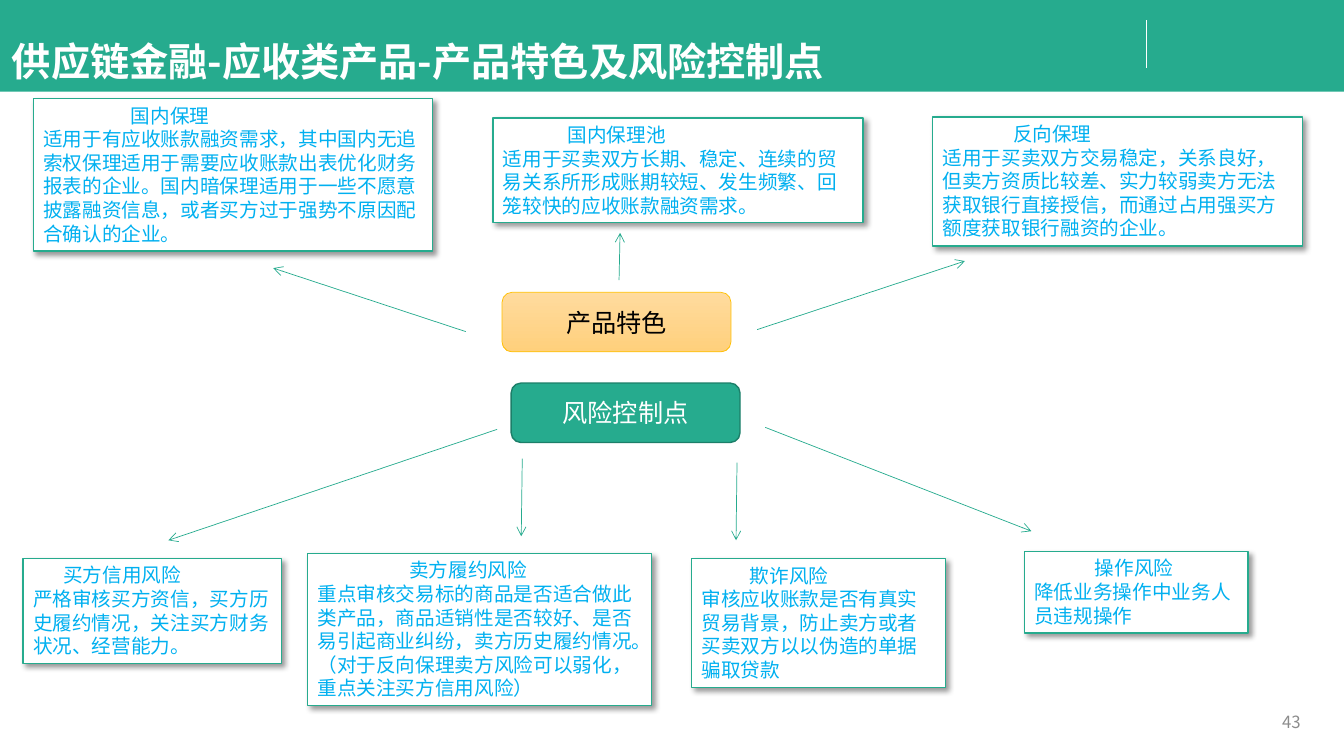
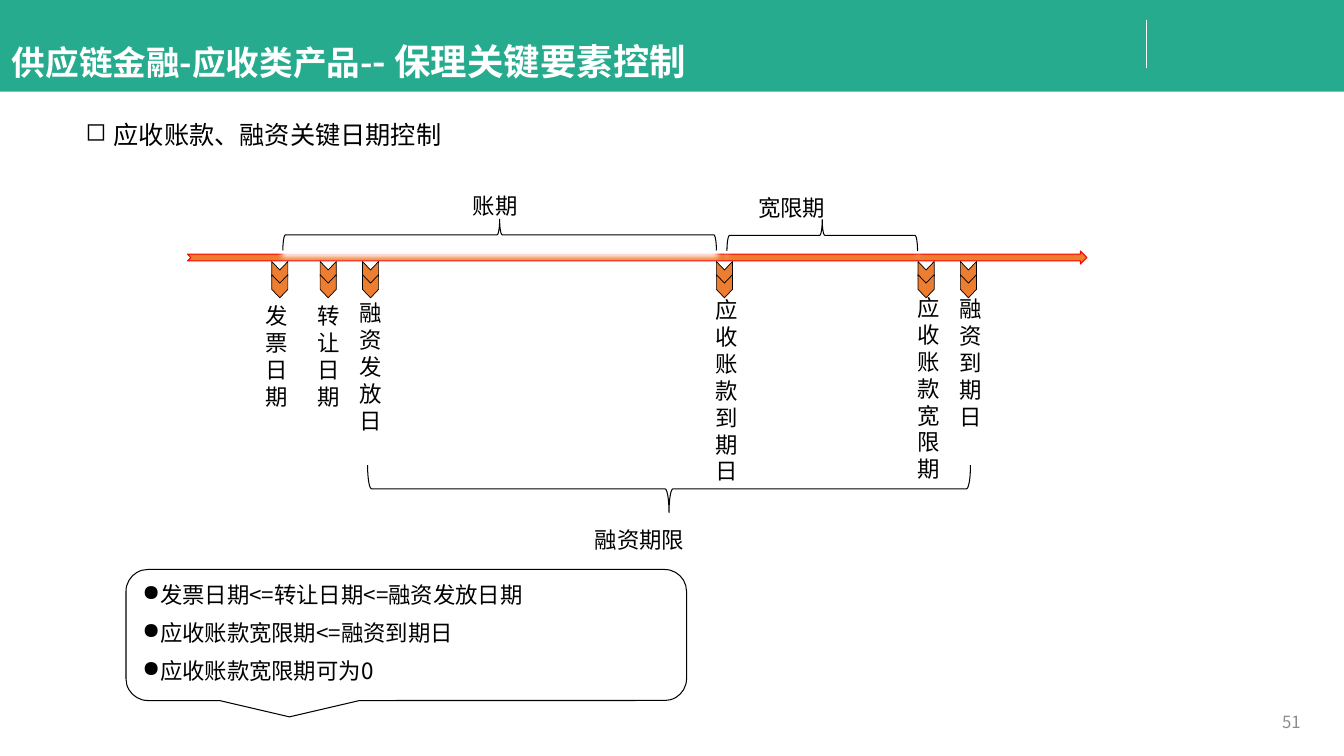
from lxml.etree import SubElement
from pptx import Presentation
from pptx.dml.color import RGBColor
from pptx.enum.shapes import MSO_CONNECTOR, MSO_SHAPE as SHAPE
from pptx.enum.text import MSO_ANCHOR as ANCHOR, PP_ALIGN as ALIGN
from pptx.oxml.ns import qn
from pptx.util import Inches, Pt

GREEN, WHITE, BLACK, BLUE, ORANGE = "26AB8E", "FFFFFF", "000000", "00B0F0", "ED7D31"
CJK, LATIN = "Noto Sans CJK SC", "Arial"
CARD_SHADOW = ("000000", 40, 4, 3, 45)
GLOW = ("FFFFFF", 100, 4, 4, 90)


def add_box(page, kind, at, fill=None, line=None, width=0.75, shadow=None, turn=0):
    frame = [Inches(value) for value in at]
    if kind is None:
        return page.shapes.add_textbox(*frame)
    box = page.shapes.add_shape(kind, *frame)
    box.rotation = turn
    box.shadow.inherit = False
    if fill:
        box.fill.solid()
        box.fill.fore_color.rgb = RGBColor.from_string(fill)
    else:
        box.fill.background()
    if line:
        box.line.color.rgb = RGBColor.from_string(line)
        box.line.width = Pt(width)
    else:
        box.line.fill.background()
    if shadow:
        colour, alpha, blur, distance, angle = shadow
        effects = box._element.spPr.find(qn("a:effectLst"))
        outer = SubElement(effects, qn("a:outerShdw"), blurRad=str(Pt(blur)), dist=str(Pt(distance)),
                           dir=str(angle * 60000), algn="tl", rotWithShape="0")
        tint = SubElement(outer, qn("a:srgbClr"), val=colour)
        SubElement(tint, qn("a:alpha"), val=str(alpha * 1000))
    return box


def write(box, paragraphs, colour=BLACK, font=CJK, bold=False, align=ALIGN.LEFT,
          anchor=ANCHOR.TOP, bullet=None, indent=0, before=0):
    frame = box.text_frame
    frame.word_wrap = True
    frame.vertical_anchor = anchor
    for index, spans in enumerate(paragraphs):
        para = frame.paragraphs[0] if index == 0 else frame.add_paragraph()
        properties = para._p.get_or_add_pPr()
        if bullet:
            properties.set("marL", str(Inches(indent)))
            properties.set("indent", str(-Inches(indent)))
            SubElement(properties, qn("a:buChar"), char=bullet)
        elif indent and index == 0:
            properties.set("marL", str(Inches(indent)))
        para.alignment = align
        if anchor == ANCHOR.TOP:
            para.line_spacing = Pt(spans[0][1] * 1.2)
        if before and index:
            para.space_before = Pt(before)
        for text, size in spans:
            span = para.add_run()
            span.text = text
            span.font.size = Pt(size)
            span.font.bold = bold
            span.font.name = font
            span.font.color.rgb = RGBColor.from_string(colour)
            SubElement(span._r.get_or_add_rPr(), qn("a:ea"), typeface=CJK)


deck = Presentation()
deck.slide_width, deck.slide_height = Inches(13.33), Inches(7.5)

titles = [
    ("43", [("供应链金融-应收类产品-产品特色及风险控制点", 28)]),
    ("51", [("供应链金融-应收类产品-", 24), ("- 保理关键要素控制", 26)]),
]
for number, title in titles:
    page = deck.slides.add_slide(deck.slide_layouts[6])
    add_box(page, SHAPE.RECTANGLE, (0, 0, 13.33, 0.91), GREEN)
    write(add_box(page, None, (10.22, 7, 2.78, 0.33)), [[(number, 12)]], "8C8C8C",
          align=ALIGN.RIGHT, anchor=ANCHOR.MIDDLE)
    write(add_box(page, None, (0.02, 0.23, 9.76, 0.75)), [title], WHITE, bold=True, anchor=ANCHOR.MIDDLE)
features, dates = deck.slides

cards = [
    ((0.33, 0.98, 3.96, 1.51), CJK, 0.87, "国内保理",
     "适用于有应收账款融资需求，其中国内无追索权保理适用于需要应收账款出表优化财务报表的企业。"
     "国内暗保理适用于一些不愿意披露融资信息，或者买方过于强势不原因配合确认的企业。"),
    ((4.89, 1.17, 3.67, 1.04), CJK, 0.64, "国内保理池",
     "适用于买卖双方长期、稳定、连续的贸易关系所形成账期较短、发生频繁、回笼较快的应收账款融资需求。"),
    ((9.25, 1.16, 3.67, 1.28), LATIN, 0.7, "反向保理",
     "适用于买卖双方交易稳定，关系良好，但卖方资质比较差、实力较弱卖方无法获取银行直接授信，"
     "而通过占用强买方额度获取银行融资的企业。"),
    ((0.23, 5.54, 2.56, 1.04), LATIN, 0.3, "买方信用风险",
     "严格审核买方资信，买方历史履约情况，关注买方财务状况、经营能力。"),
    ((3.05, 5.49, 3.41, 1.51), LATIN, 0.91, "卖方履约风险",
     "重点审核交易标的商品是否适合做此类产品，商品适销性是否较好、是否易引起商业纠纷，"
     "卖方历史履约情况。（对于反向保理卖方风险可以弱化，重点关注买方信用风险）"),
    ((6.86, 5.54, 2.52, 1.28), LATIN, 0.48, "欺诈风险",
     "审核应收账款是否有真实贸易背景，防止卖方或者买卖双方以以伪造的单据骗取贷款"),
    ((10.16, 5.47, 2.22, 0.81), LATIN, 0.6, "操作风险", "降低业务操作中业务人员违规操作"),
]
for at, font, indent, heading, body in cards:
    card = add_box(features, SHAPE.RECTANGLE, at, WHITE, GREEN, 1, CARD_SHADOW)
    write(card, [[(heading, 14)], [(body, 14)]], BLUE, font, indent=indent)

risk_hub = add_box(features, SHAPE.ROUNDED_RECTANGLE, (5.07, 3.8, 2.27, 0.59), GREEN, "1C7F69", 1)
feature_hub = add_box(features, SHAPE.ROUNDED_RECTANGLE, (4.98, 2.9, 2.27, 0.59), WHITE, "FFC000", 0.5)
feature_hub.fill.gradient()
feature_hub.fill.gradient_angle = 270
for stop, colour in zip(feature_hub.fill.gradient_stops, ("FFDB9E", "FFD07C")):
    stop.color.rgb = RGBColor.from_string(colour)
for hub, label, colour in ((risk_hub, "风险控制点", WHITE), (feature_hub, "产品特色", BLACK)):
    write(hub, [[(label, 18)]], colour, LATIN, align=ALIGN.CENTER, anchor=ANCHOR.MIDDLE)

write(add_box(dates, None, (0.75, 1.13, 11.76, 0.4)), [[("应收账款、融资关键日期控制", 18)]],
      bullet="◻", indent=0.28)
add_box(dates, SHAPE.NOTCHED_RIGHT_ARROW, (1.86, 2.49, 8.92, 0.13), ORANGE, "FF0000")

milestones = [
    ("发票日期", 2.66, 2.53, 2.95, 0.52),
    ("转让日期", 3.14, 3.05, 2.95, 0.42),
    ("融资发放日", 3.56, 3.47, 2.92, 0.42),
    ("应收账款到期日", 7.07, 7, 2.89, 0.42),
    ("应收账款宽限期", 9.07, 9, 2.87, 0.42),
    ("融资到期日", 9.49, 9.42, 2.88, 0.42),
]
for label, marker_left, left, top, width in milestones:
    for marker_top in (2.63, 2.76):
        marker = add_box(dates, SHAPE.CHEVRON, (marker_left, marker_top, 0.23, 0.16), ORANGE, BLACK, 0.5, turn=90)
        marker.adjustments[0] = 0.525
    height = 0.1 + 0.27 * len(label)
    write(add_box(dates, None, (left, top, width, height)), [[(label, 16)]])

periods = [
    ("账期", (4.59, 1.86, 0.94, 0.37), SHAPE.LEFT_BRACE, (4.8, 0.18, 0.31, 4.3), WHITE, GLOW),
    ("宽限期", (7.42, 1.88, 1.36, 0.37), SHAPE.LEFT_BRACE, (8, 1.39, 0.31, 1.89), None, GLOW),
    ("融资期限", (5.8, 5.17, 1.68, 0.37), SHAPE.RIGHT_BRACE, (6.4, 1.86, 0.47, 5.98), None, None),
]
for label, label_at, brace, brace_at, fill, shadow in periods:
    add_box(dates, brace, brace_at, fill, BLACK, shadow=shadow, turn=90)
    write(add_box(dates, None, label_at), [[(label, 16)]])

rules = ["发票日期<=转让日期<=融资发放日期", "应收账款宽限期<=融资到期日", "应收账款宽限期可为0"]
callout = add_box(dates, SHAPE.ROUNDED_RECTANGULAR_CALLOUT, (1.25, 5.65, 5.56, 1.3), None, BLACK)
write(callout, [[(rule, 16)] for rule in rules], bullet="●", indent=0.17, before=8)

arrows = [
    (4.62, 3.29, 2.71, 2.66), (7.51, 3.27, 9.57, 2.59), (6.14, 2.78, 6.15, 2.31),
    (4.93, 4.26, 1.67, 5.36), (5.18, 4.55, 5.17, 5.32),
    (7.59, 4.24, 10.23, 5.27), (7.31, 4.59, 7.3, 5.36),
]
links = [(page, WHITE, (11.37, 0.2, 11.37, 0.67)) for page in deck.slides]
links += [(features, GREEN, ends) for ends in arrows]
for page, colour, ends in links:
    link = page.shapes.add_connector(MSO_CONNECTOR.STRAIGHT, *[Inches(value) for value in ends])
    link.line.color.rgb = RGBColor.from_string(colour)
    link.line.width = Pt(0.5)
    if colour == GREEN:
        SubElement(link.line._get_or_add_ln(), qn("a:tailEnd"), type="arrow")
    SubElement(link._element.spPr, qn("a:effectLst"))

deck.save("out.pptx")
